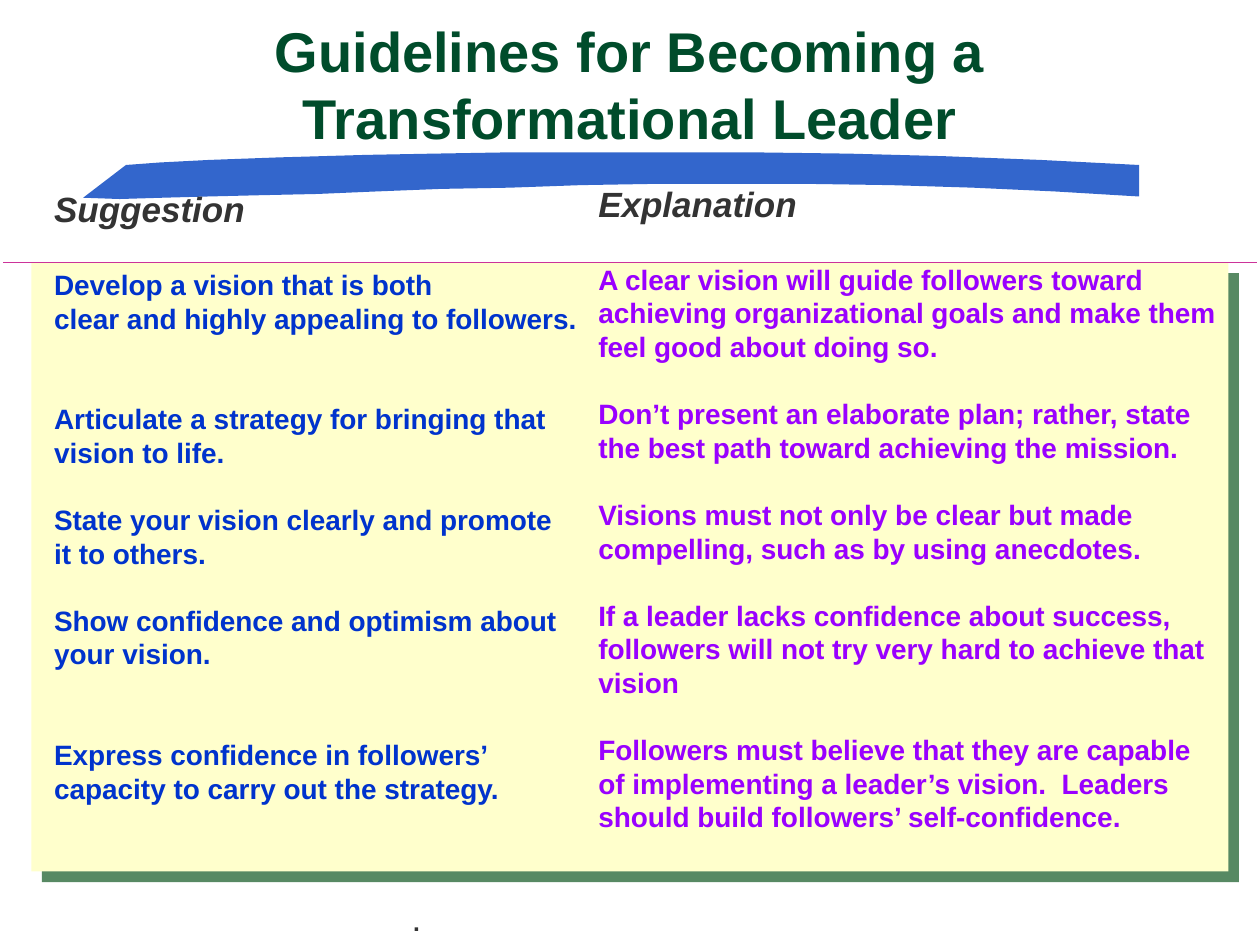
from lxml import etree
from pptx import Presentation
from pptx import util as u
from pptx.dml.color import RGBColor
from pptx.enum import shapes, text
from pptx.oxml import ns

Pt = u.Pt
FONT = "Arial"
LEADING = 1.2

# Groups of lines; each group starts after the given number of empty lines
SUGGESTIONS = [
    (1, ["Develop a vision that is both",
         "clear and highly appealing to followers."]),
    (2, ["Articulate a strategy for bringing that", "vision to life."]),
    (1, ["State your vision clearly and promote", "it to others."]),
    (1, ["Show confidence and optimism about", "your vision."]),
    (2, ["Express confidence in followers’",
         "capacity to carry out the strategy."]),
]
EXPLANATIONS = [
    (1, ["A clear vision will guide followers toward",
         "achieving organizational goals and make them feel good about doing so."]),
    (1, ["Don’t present an elaborate plan; rather, state the best path toward "
         "achieving the mission."]),
    (1, ["Visions must not only be clear but made",
         "compelling, such as by using anecdotes."]),
    (1, ["If a leader lacks confidence about success,",
         "followers will not try very hard to achieve that", "vision"]),
    (1, ["Followers must believe that they are capable of implementing a "
         "leader’s vision.  Leaders",
         "should build followers’ self-confidence."]),
]

# Brush stroke outline in hundredths of an inch, from its box's corner
STROKE = [(34, 10), (61, 8), (100, 6), (155, 4), (225, 2), (278, 1), (336, 0),
          (465, 0), (534, 0), (608, 1), (683, 3), (760, 6), (838, 10),
          (838, 35), (771, 31), (706, 28), (641, 26), (576, 25), (514, 25),
          (453, 25), (395, 26), (339, 28), (284, 29), (233, 31), (186, 33),
          (141, 34), (99, 35), (63, 36), (29, 37), (0, 36)]


def color(hex_value):
    return RGBColor.from_string(hex_value)


def format_paragraph(p, size, hex_value, italic=False, before=0):
    p.line_spacing = Pt(size * LEADING)
    p.space_before = Pt(before)
    for r in p.runs:
        r.font.name, r.font.size = FONT, Pt(size)
        r.font.bold, r.font.italic = True, italic
        r.font.color.rgb = color(hex_value)


def add_brush_stroke(s, x, y):
    builder = s.shapes.build_freeform(*STROKE[0], scale=Pt(0.72))
    builder.add_line_segments(STROKE[1:], close=True)
    sp = builder.convert_to_shape(Pt(x), Pt(y))
    sp.shadow.inherit = False
    sp.fill.solid()
    sp.fill.fore_color.rgb = color("3366CC")
    sp.line.fill.background()


def add_panel(s, x, y, w, h):
    sp = s.shapes.add_shape(shapes.MSO_SHAPE.RECTANGLE, Pt(x), Pt(y), Pt(w), Pt(h))
    sp.fill.solid()
    sp.fill.fore_color.rgb = color("FFFFCC")
    sp.line.fill.background()
    # Hard shadow to the lower right
    sp.shadow.inherit = False
    effects = sp._element.spPr.find(ns.qn("a:effectLst"))
    shadow = etree.SubElement(effects, ns.qn("a:outerShdw"), dist=str(Pt(8.5)),
                              dir="2700000", algn="ctr", rotWithShape="0")
    etree.SubElement(shadow, ns.qn("a:srgbClr"), val="578963")


def add_title(s, x, y, w, h):
    sp = s.shapes.title
    sp.left, sp.top, sp.width, sp.height = Pt(x), Pt(y), Pt(w), Pt(h)
    tf = sp.text_frame
    tf.text = "Guidelines for Becoming a Transformational Leader"
    tf.word_wrap = True
    tf.auto_size = text.MSO_AUTO_SIZE.NONE
    tf.vertical_anchor = text.MSO_ANCHOR.BOTTOM
    p = tf.paragraphs[0]
    p.alignment = text.PP_ALIGN.CENTER
    format_paragraph(p, 32, "004C2B")


def add_text_box(s, x, y, w, h, wrap):
    tf = s.shapes.add_textbox(Pt(x), Pt(y), Pt(w), Pt(h)).text_frame
    tf.word_wrap = wrap
    return tf


def add_column(s, x, y, w, h, heading, groups, hex_value, wrap):
    tf = add_text_box(s, x, y, w, h, wrap)
    tf.text = heading
    format_paragraph(tf.paragraphs[0], 20, "333333", italic=True)
    for i, (empty, lines) in enumerate(groups):
        gap = empty * (16 if i else 18) * LEADING
        for j, line in enumerate(lines):
            p = tf.add_paragraph()
            p.text = line
            format_paragraph(p, 16, hex_value, before=0 if j else gap)


def add_rule(s, x, y, w):
    line = s.shapes.add_connector(shapes.MSO_CONNECTOR.STRAIGHT,
                                  Pt(x), Pt(y), Pt(x + w), Pt(y))
    line.line.color.rgb = color("CC3399")
    line.line.width = Pt(1)
    etree.SubElement(line._element.spPr, ns.qn("a:effectLst"))


def add_footer(s, x, y, w, h):
    tf = add_text_box(s, x, y, w, h, wrap=False)
    tf.text = "."
    format_paragraph(tf.paragraphs[0], 14, "333333")


def main():
    prs = Presentation()
    prs.slide_width, prs.slide_height = Pt(720), Pt(540)
    s = prs.slides.add_slide(prs.slide_layouts[5])

    add_brush_stroke(s, 47.5, 87.1)
    add_footer(s, 229, 514.8, 18, 23.8)
    add_panel(s, 18, 150, 684, 348)
    add_title(s, 54, 0, 612, 90)
    add_column(s, 23.8, 103.7, 313.2, 398, "Suggestion", SUGGESTIONS,
               "0033CC", wrap=False)
    add_column(s, 334.8, 100.8, 368, 398, "Explanation", EXPLANATIONS,
               "9900FF", wrap=True)
    add_rule(s, 2, 150, 716.5)

    prs.save("out.pptx")


if __name__ == "__main__":
    main()
